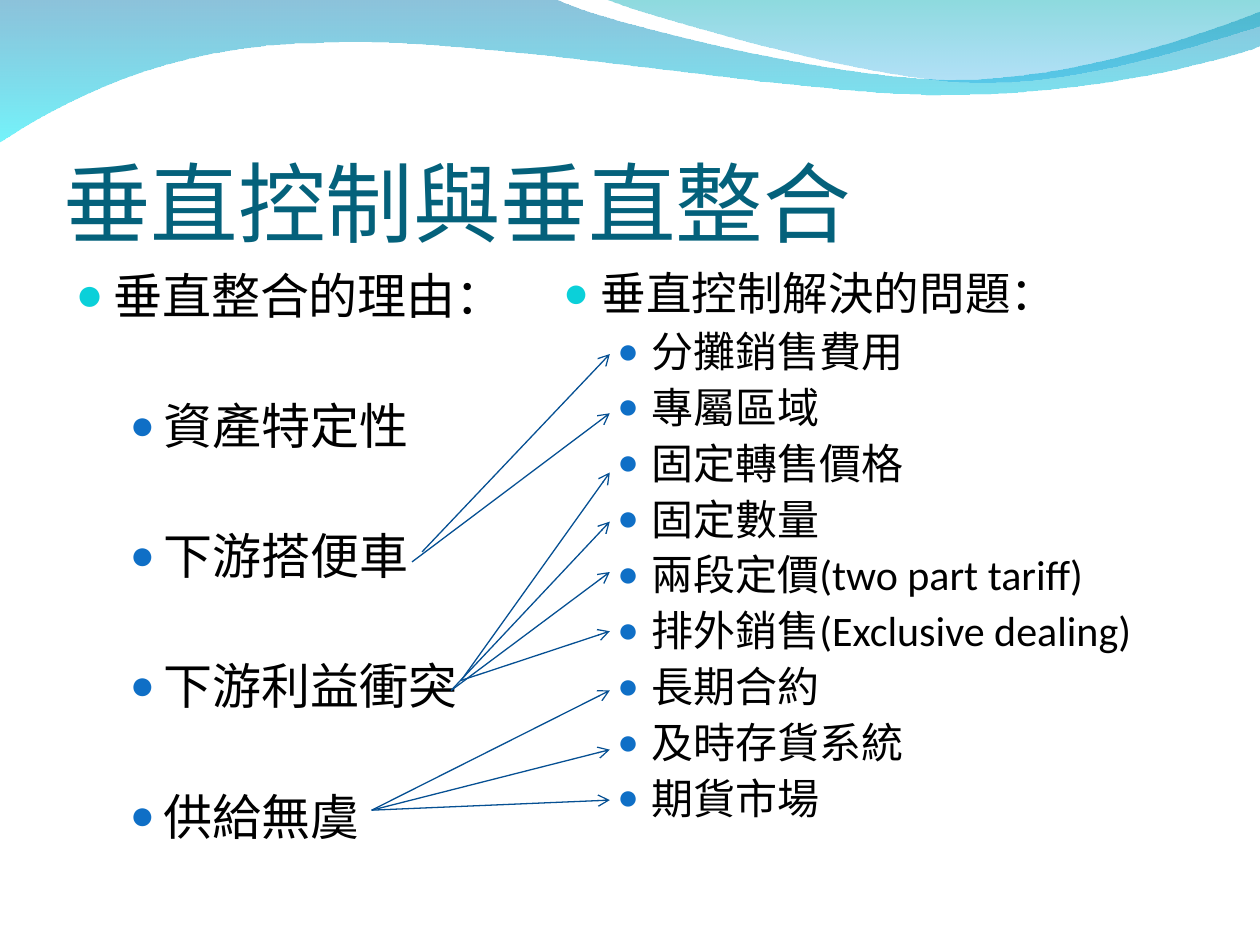
from dataclasses import dataclass
from typing import NamedTuple

from lxml import etree
from pptx import Presentation
from pptx.dml.color import RGBColor
from pptx.enum.shapes import MSO_CONNECTOR
from pptx.enum.text import MSO_ANCHOR, MSO_AUTO_SIZE, PP_ALIGN
from pptx.oxml.ns import qn
from pptx.util import Inches, Pt

LEFT, BOTTOM, TOP = PP_ALIGN.LEFT, MSO_ANCHOR.BOTTOM, MSO_ANCHOR.TOP
NO_FIT, STRAIGHT = MSO_AUTO_SIZE.NONE, MSO_CONNECTOR.STRAIGHT
WIDTH, HEIGHT = Inches(10), Inches(7.5)
COLUMNS = 100  # square grid: 100 columns by 75 rows


@dataclass(frozen=True)
class Theme:
    cjk: str = "Noto Sans CJK SC"
    latin: str = "Calibri"
    title: str = "04617B"
    text: str = "000000"
    arrow: str = "065093"
    bullets: tuple = (("0BD0D9", 95), ("0F6FC6", 85))  # colour, size in percent
    indents: tuple = ((2.99, -2.99), (7, -2.7))  # margin and hanging, in columns
    title_size: int = 50
    line_height: float = 1.08  # share of the type size


class Box(NamedTuple):
    left: float
    top: float
    width: float
    height: float


class Column(NamedTuple):
    box: Box
    head: str
    items: tuple
    head_size: int
    item_size: int
    gap: float  # points before each item


class Wave(NamedTuple):
    start: tuple
    segments: tuple  # two numbers: a line; six numbers: a Bézier curve
    stops: tuple  # colour and opacity, from top to bottom


class Arrow(NamedTuple):
    x: float
    y: float
    tip_y: float


THEME = Theme()
TITLE = "垂直控制與垂直整合"
TITLE_BOX = Box(5, 7.7, 90, 12.5)
TIP_X = 48.4

COLUMNS_OF_TEXT = (
    Column(Box(5, 21, 44.2, 48.5), "垂直整合的理由：",
           ("資產特定性", "下游搭便車", "下游利益衝突", "供給無虞"), 28, 28, 44.2),
    Column(Box(43.7, 21, 51.3, 48.5), "垂直控制解決的問題：",
           ("分攤銷售費用", "專屬區域", "固定轉售價格", "固定數量",
            "兩段定價|(two part tariff)", "排外銷售|(Exclusive dealing)",
            "長期合約", "及時存貨系統", "期貨市場"), 26, 24, 6),
)

WAVES = (
    Wave((0, -0.1), ((44, -0.1), (47.6, 1.7, 66.4, 6.3, 75.8, 6.3),
                     (85.3, 6.3, 95.8, 2.6, 100, 0.9), (100.1, 3.6),
                     (98.3, 4.4, 87, 7.6, 74.6, 7.5),
                     (62.2, 7.5, 38.2, 2.8, 25.7, 3.4),
                     (12.9, 3.5, 4.6, 8.3, -0.1, 11.3)),
         (("0079AF", 45), ("00EBF8", 55))),
    Wave((47.9, -0.1), ((50.9, 1.1, 68.2, 6.2, 76.9, 6.5),
                        (85.6, 6.9, 96.1, 3.2, 100, 2.1), (100, 0)),
         (("00ADB6", 45), ("009BE5", 30))),
)

ARROWS = (
    Arrow(33.5, 43.8, 28.1), Arrow(32.7, 44.6, 32.8),
    Arrow(36.6, 54, 37.5), Arrow(35.8, 54.8, 41.4),
    Arrow(36.6, 54, 50.1), Arrow(35.8, 54.8, 45.4),
    *(Arrow(29.5, 64.3, tip_y) for tip_y in (54.8, 63.5, 59.5)),
)


def grid(n: float) -> int:
    return round(WIDTH * n / COLUMNS)


def rgb(value: str) -> RGBColor:
    return RGBColor.from_string(value)


def set_attrs(obj, formats: dict) -> None:
    for name, value in formats.items():
        setattr(obj, name, value)


def place(sp, box: Box) -> None:
    set_attrs(sp, {name: grid(n) for name, n in box._asdict().items()})


def add_run(p, text: str, size: int, color: str, font: str) -> None:
    r = p.add_run()
    r.text = text
    set_attrs(r.font, {"size": Pt(size), "name": font, "bold": False})
    r.font.color.rgb = rgb(color)
    etree.SubElement(r.font._element, qn("a:ea"), typeface=THEME.cjk)


def add_bullet(p, level: int) -> None:
    color, percent = THEME.bullets[level]
    margin, hanging = THEME.indents[level]
    pPr = p._p.get_or_add_pPr()
    pPr.set("marL", str(grid(margin)))
    pPr.set("indent", str(grid(hanging)))
    clr = etree.SubElement(pPr, qn("a:buClr"))
    etree.SubElement(clr, qn("a:srgbClr"), val=color)
    etree.SubElement(pPr, qn("a:buSzPct"), val=str(percent * 1000))
    etree.SubElement(pPr, qn("a:buChar"), char="●")


def fill_title(sp) -> None:
    place(sp, TITLE_BOX)
    tf = sp.text_frame
    set_attrs(tf, {"vertical_anchor": BOTTOM, "auto_size": NO_FIT, "word_wrap": True,
                   "margin_left": 0, "margin_right": 0, "margin_bottom": 0})
    p = tf.paragraphs[0]
    p.alignment = LEFT
    add_run(p, TITLE, THEME.title_size, THEME.title, THEME.cjk)


def fill_column(sp, column: Column) -> None:
    place(sp, column.box)
    tf = sp.text_frame
    set_attrs(tf, {"vertical_anchor": TOP, "auto_size": NO_FIT, "word_wrap": True})
    for i, text in enumerate((column.head, *column.items)):
        level = min(i, 1)
        size = column.item_size if level else column.head_size
        p = tf.add_paragraph() if i else tf.paragraphs[0]
        set_attrs(p, {"level": level, "alignment": LEFT,
                      "line_spacing": Pt(size * THEME.line_height),
                      "space_before": Pt(column.gap if level else 0)})
        add_bullet(p, level)
        for part, font in zip(text.split("|"), (THEME.cjk, THEME.latin)):
            add_run(p, part, size, THEME.text, font)


def bend(sp, segments: tuple) -> None:
    """Merge each curve's three straight steps into one Bézier segment."""
    steps = iter(list(sp._element.iter(qn("a:lnTo"))))
    for seg in segments:
        first = next(steps)
        if len(seg) == 6:
            first.tag = qn("a:cubicBezTo")
            for _ in range(2):
                step = next(steps)
                first.append(step[0])
                step.getparent().remove(step)


def add_wave(s, wave: Wave, layer: int) -> None:
    points = [(grid(seg[i]), grid(seg[i + 1]))
              for seg in (wave.start, *wave.segments) for i in range(0, len(seg), 2)]
    builder = s.shapes.build_freeform(*points[0])
    builder.add_line_segments(points[1:], close=True)
    sp = builder.convert_to_shape()
    bend(sp, wave.segments)
    sp.shadow.inherit = False
    sp.line.fill.background()
    sp.fill.gradient()
    sp.fill.gradient_angle = 270
    for stop, position, (color, opacity) in zip(sp.fill.gradient_stops, (0, 1), wave.stops):
        stop.position = position
        stop.color.rgb = rgb(color)
        clr = stop._gs.find(qn("a:srgbClr"))
        etree.SubElement(clr, qn("a:alpha"), val=str(opacity * 1000))
    s.shapes._spTree.insert(2 + layer, sp._element)  # behind the text


def add_arrow(s, arrow: Arrow) -> None:
    cx = s.shapes.add_connector(STRAIGHT, grid(arrow.x), grid(arrow.y),
                                grid(TIP_X), grid(arrow.tip_y))
    cx.line.width = Pt(0.75)
    cx.line.color.rgb = rgb(THEME.arrow)
    etree.SubElement(cx.line._get_or_add_ln(), qn("a:tailEnd"), type="arrow")
    etree.SubElement(cx._element.spPr, qn("a:effectLst"))


def main() -> None:
    prs = Presentation()
    set_attrs(prs, {"slide_width": WIDTH, "slide_height": HEIGHT})
    s = prs.slides.add_slide(prs.slide_layouts[3])  # title and two lists

    # Waves along the top edge
    for layer, wave in enumerate(WAVES):
        add_wave(s, wave, layer)

    # Title and lists
    fill_title(s.shapes.title)
    for idx, column in enumerate(COLUMNS_OF_TEXT, start=1):
        fill_column(s.placeholders[idx], column)

    # Arrows from reasons to remedies
    for arrow in ARROWS:
        add_arrow(s, arrow)

    prs.save("out.pptx")


if __name__ == "__main__":
    main()
